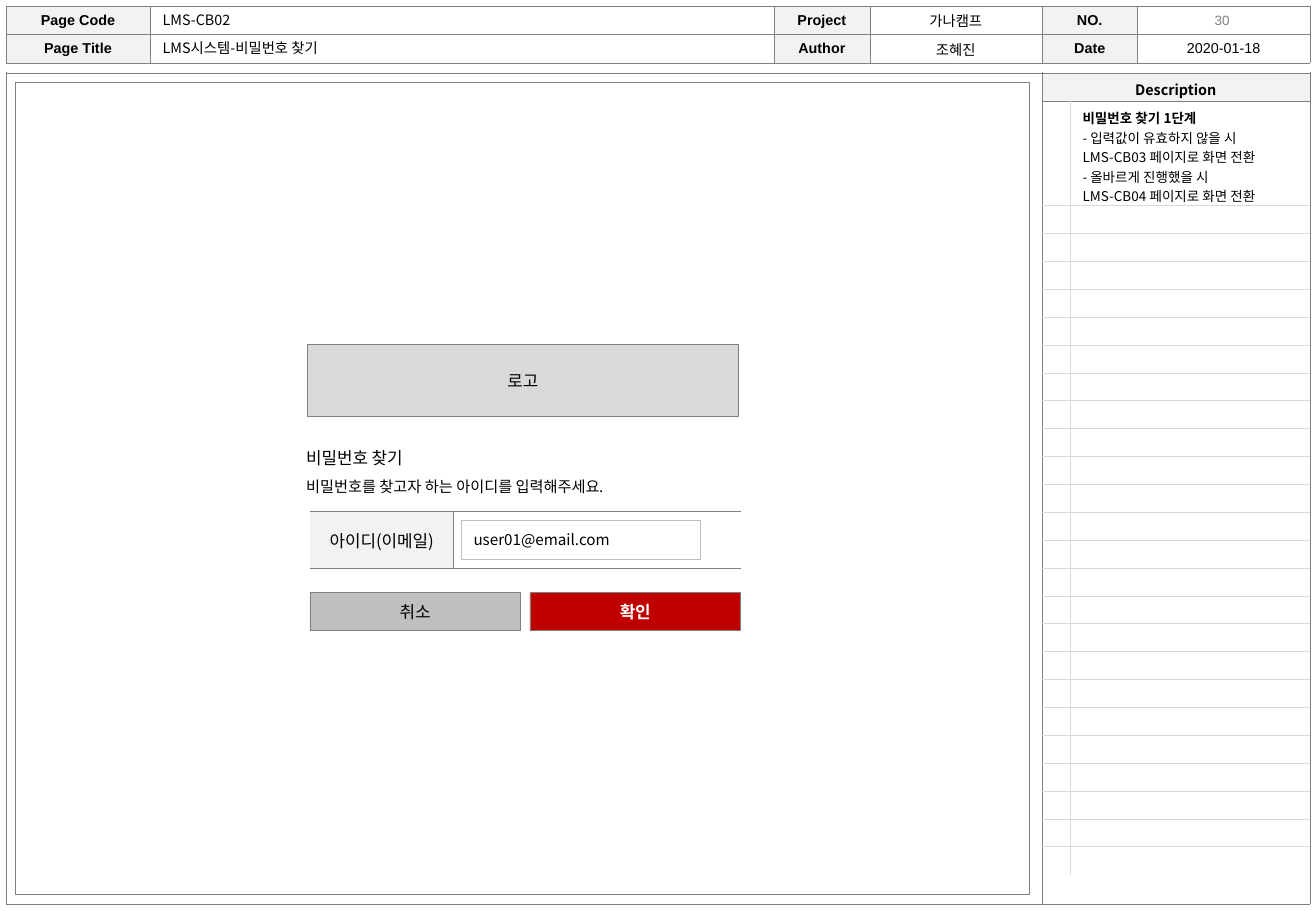
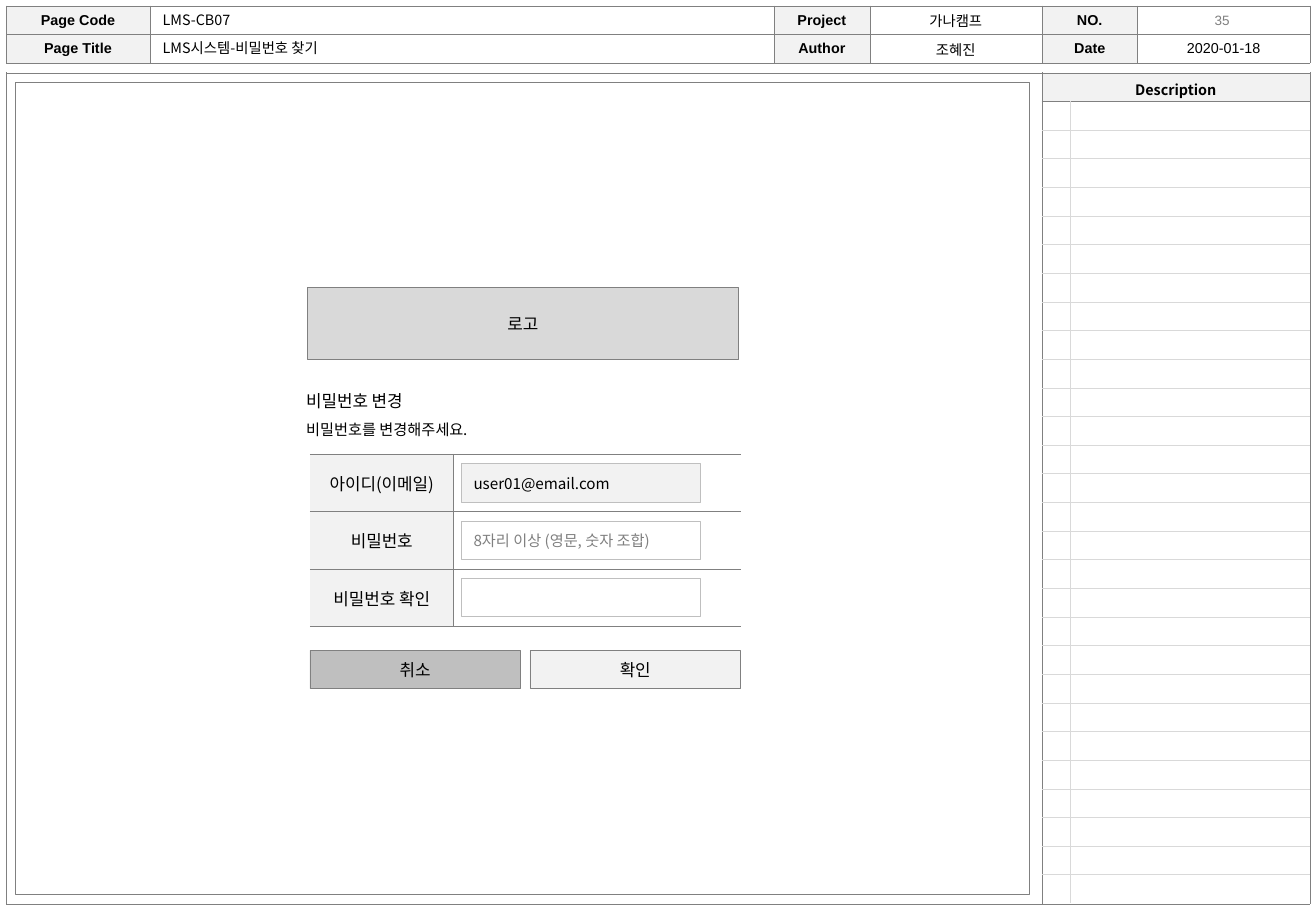
import pptx
import pptx.util
import pptx.dml.color
import pptx.enum.shapes
import pptx.enum.text
import pptx.oxml.ns
import lxml.etree

Cm, Pt = pptx.util.Cm, pptx.util.Pt
RGB = pptx.dml.color.RGBColor
ALIGN = pptx.enum.text.PP_ALIGN
ANCHOR = pptx.enum.text.MSO_ANCHOR
qn = pptx.oxml.ns.qn

BLACK, WHITE = RGB(0, 0, 0), RGB(255, 255, 255)
GRAY, DARK = RGB(0x7F, 0x7F, 0x7F), RGB(0x80, 0x80, 0x80)
MID, LIGHT = RGB(0xBF, 0xBF, 0xBF), RGB(0xD9, 0xD9, 0xD9)
PALE, RED = RGB(0xF2, 0xF2, 0xF2), RGB(0xC0, 0, 0)
KOREAN, LATIN = "Noto Sans CJK KR", "Arial"
NO_STYLE = "{2D5ABB26-0587-4C30-8999-92F81FD0307C}"

# Content
HEADER = [
    ["Page Code", "", "Project", "가나캠프", "NO.", ""],
    ["Page Title", "", "Author", "조혜진", "Date", "2020-01-18"],
]
PAGES = [
    dict(
        code="LMS-CB02", title="LMS시스템-비밀번호 찾기", number="30",
        heading="비밀번호 찾기",
        guide="비밀번호를 찾고자 하는 아이디를 입력해주세요.",
        fields=[("아이디(이메일)", "user01@email.com", WHITE, BLACK)],
        form_top=10.69, confirm=(RED, WHITE, True),
        notes=["비밀번호 찾기 1단계", "- 입력값이 유효하지 않을 시",
               "LMS-CB03 페이지로 화면 전환", "- 올바르게 진행했을 시",
               "LMS-CB04 페이지로 화면 전환"],
        first_row=2.18, note_rows=25, notes_height=16.18,
    ),
    dict(
        code="LMS-CB07", title="LMS시스템-비밀번호 찾기", number="35",
        heading="비밀번호 변경", guide="비밀번호를 변경해주세요.",
        fields=[("아이디(이메일)", "user01@email.com", PALE, BLACK),
                ("비밀번호", "8자리 이상 (영문, 숫자 조합)", WHITE, DARK),
                ("비밀번호 확인", "", WHITE, BLACK)],
        form_top=9.5, confirm=(PALE, BLACK, False),
        notes=[], first_row=0.6, note_rows=28, notes_height=16.79,
    ),
]

# Shared grid, in centimetres
LEFT, HEADER_TOP, MAIN_TOP = 0.13, 0.12, 1.52
HEADER_COLS = [3, 13.05, 2, 3.6, 2, 3.6]
LINE_H = 0.6
CANVAS_W, NOTES_W, MAIN_H = 21.65, 5.6, 16.79
FORM_LEFT, FORM_COLS, ROW_H = 6.48, [3, 6], 1.2
BUTTON_W, BUTTON_H, BUTTON_GAP = 4.4, 0.8, 0.2


def write(frame, lines, size=10, font=KOREAN, color=BLACK, bold=False,
          align=ALIGN.LEFT, spacing=None):
    """Fill a text frame; a line is a string or a (string, overrides) pair."""
    for i, line in enumerate([lines] if isinstance(lines, str) else lines):
        text, own = line if isinstance(line, tuple) else (line, {})
        paragraph = frame.paragraphs[0] if i == 0 else frame.add_paragraph()
        paragraph.alignment = align
        if spacing:
            paragraph.line_spacing = spacing
        if not text:
            lxml.etree.SubElement(paragraph._p, qn("a:endParaRPr"), sz=str(int(size * 100)))
            continue
        run = paragraph.add_run()
        run.text = text
        run.font.size = Pt(own.get("size", size))
        run.font.bold = own.get("bold", bold)
        run.font.name = font
        run.font.color.rgb = color
        east_asian = lxml.etree.SubElement(run.font._element, qn("a:ea"))
        east_asian.set("typeface", KOREAN)


def add_label(slide, lines, x, y, w, h, wrap=True, **style):
    label = slide.shapes.add_textbox(Cm(x), Cm(y), Cm(w), Cm(h))
    label.text_frame.word_wrap = wrap
    write(label.text_frame, lines, **style)


def add_box(slide, text, x, y, w, h, fill, line=DARK, **style):
    box = slide.shapes.add_shape(pptx.enum.shapes.MSO_SHAPE.RECTANGLE,
                                 Cm(x), Cm(y), Cm(w), Cm(h))
    box.shadow.inherit = False
    box.fill.solid()
    box.fill.fore_color.rgb = fill
    box.line.color.rgb = line
    box.line.width = Pt(0.5)
    box.text_frame.word_wrap = True
    box.text_frame.vertical_anchor = ANCHOR.MIDDLE
    write(box.text_frame, text, **style)


def add_grid(slide, x, y, cols, rows):
    grid = slide.shapes.add_table(len(rows), len(cols), Cm(x), Cm(y),
                                  Cm(sum(cols)), Cm(sum(rows))).table
    grid.first_row = grid.horz_banding = False
    grid._tbl.tblPr.find(qn("a:tableStyleId")).text = NO_STYLE
    for column, width in zip(grid.columns, cols):
        column.width = Cm(width)
    for row, height in zip(grid.rows, rows):
        row.height = Cm(height)
    return grid


def set_cell(cell, lines, sides, line, width, fill=None, pad=0.08,
             anchor=ANCHOR.MIDDLE, side_pad=0.25, top_pad=None, **style):
    """Write a cell and draw the named borders (letters of LRTB)."""
    for side in "LRTB":
        if side in sides:
            border = lxml.etree.SubElement(cell._tc.get_or_add_tcPr(),
                                           qn("a:ln" + side), w=str(Pt(width)))
            solid = lxml.etree.SubElement(border, qn("a:solidFill"))
            lxml.etree.SubElement(solid, qn("a:srgbClr"), val=str(line))
    if fill is None:
        cell.fill.background()
    else:
        cell.fill.solid()
        cell.fill.fore_color.rgb = fill
    cell.margin_left = cell.margin_right = Cm(side_pad)
    cell.margin_top = Cm(pad if top_pad is None else top_pad)
    cell.margin_bottom = Cm(pad)
    cell.vertical_anchor = anchor
    write(cell.text_frame, lines, **style)


def add_page_frame(slide, page):
    # Canvas and description panel
    panel = add_grid(slide, LEFT, MAIN_TOP, [CANVAS_W, NOTES_W], [LINE_H, MAIN_H])
    for r in range(2):
        for c in range(2):
            named = (r, c) == (0, 1)
            sides = "LRTB" if c else ("LRT", "LRB")[r]
            set_cell(panel.cell(r, c), "Description" if named else "", sides, DARK, 0.25,
                     fill=PALE if named else None, pad=0, top_pad=0.13,
                     anchor=ANCHOR.TOP, size=8.5, bold=True, align=ALIGN.CENTER)

    # Page header
    header = add_grid(slide, LEFT, HEADER_TOP, HEADER_COLS, [LINE_H] * 2)
    for r, row in enumerate(HEADER):
        for c, text in enumerate(row):
            is_name = c % 2 == 0
            set_cell(header.cell(r, c), text, "LRTB", DARK, 0.25,
                     fill=PALE if is_name else None, pad=0.05, side_pad=0.1,
                     size=8.5, font=LATIN, bold=is_name, align=ALIGN.CENTER)
    add_label(slide, page["number"], 23.75, HEADER_TOP, HEADER_COLS[5], LINE_H,
              size=8, font=LATIN, color=GRAY, align=ALIGN.CENTER)
    for i, key in enumerate(("code", "title")):
        add_label(slide, page[key], 3.15, 0.1 + i * LINE_H, 13, LINE_H, size=8.5)
    add_box(slide, "", 0.33, 1.73, 21.2, 16.97, WHITE)


def add_notes(slide, page):
    count, first = page["note_rows"], page["first_row"]
    rest = (page["notes_height"] - first) / (count - 1)
    notes = add_grid(slide, LEFT + CANVAS_W, MAIN_TOP + LINE_H,
                     [0.6, NOTES_W - 0.6], [first] + [rest] * (count - 1))
    lines = [(text, {"bold": i == 0}) for i, text in enumerate(page["notes"])]
    for r in range(count):
        rules = ("T" if r else "") + ("B" if r < count - 1 else "")
        for c, divider in enumerate("RL"):
            has_text = r == 0 and c == 1 and lines
            set_cell(notes.cell(r, c), lines if has_text else "", divider + rules,
                     LIGHT, 0.5, pad=0, top_pad=0.13 if has_text else 0, size=8)


def add_form(slide, page):
    top, fields = page["form_top"], page["fields"]
    add_box(slide, "로고", 6.43, top - 3.48, sum(FORM_COLS), 1.5, LIGHT, align=ALIGN.CENTER)
    add_label(slide, [page["heading"], (page["guide"], {"size": 9})],
              6.15, top - 1.66, 7.4, 1.48, wrap=False, spacing=1.5)

    # Field names and inputs
    form = add_grid(slide, FORM_LEFT, top, FORM_COLS, [ROW_H] * len(fields))
    for r, (name, value, fill, color) in enumerate(fields):
        set_cell(form.cell(r, 0), name, "RTB", DARK, 0.5, fill=PALE, align=ALIGN.CENTER)
        set_cell(form.cell(r, 1), "", "LTB", DARK, 0.5)
        add_box(slide, value, 9.65, top + r * ROW_H + 0.2, 5, 0.8, fill,
                line=MID, size=9, color=color)

    # Buttons
    confirm_fill, confirm_color, confirm_bold = page["confirm"]
    buttons = [("취소", MID, BLACK, False),
               ("확인", confirm_fill, confirm_color, confirm_bold)]
    for i, (text, fill, color, bold) in enumerate(buttons):
        add_box(slide, text, FORM_LEFT + i * (BUTTON_W + BUTTON_GAP),
                top + len(fields) * ROW_H + 0.5, BUTTON_W, BUTTON_H, fill,
                color=color, bold=bold, align=ALIGN.CENTER)


def main():
    deck = pptx.Presentation()
    deck.slide_width, deck.slide_height = Cm(27.51), Cm(19.05)
    for page in PAGES:
        slide = deck.slides.add_slide(deck.slide_layouts[6])
        add_page_frame(slide, page)
        add_notes(slide, page)
        add_form(slide, page)
    deck.save("out.pptx")


if __name__ == "__main__":
    main()
